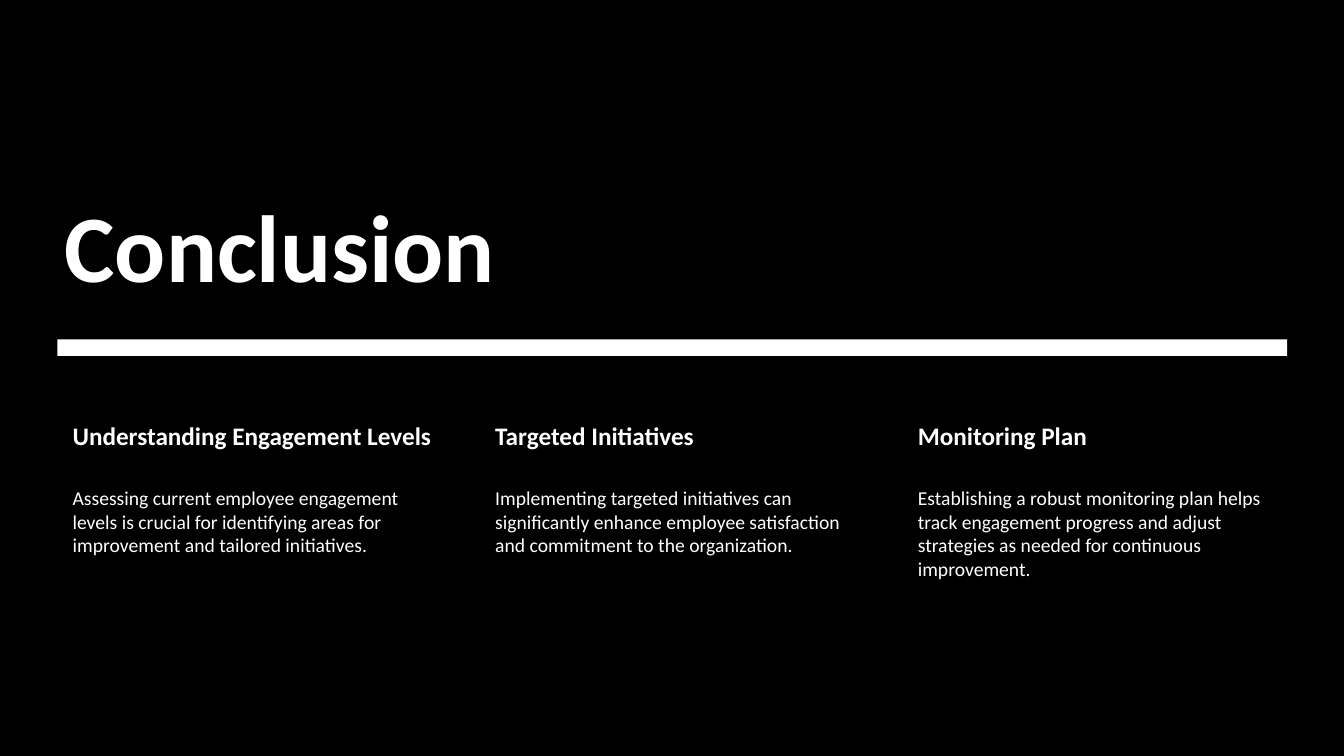
from pptx import Presentation
from pptx.dml.color import RGBColor
from pptx.enum.shapes import MSO_SHAPE as Shape
from pptx.enum.text import MSO_ANCHOR as Anchor
from pptx.util import Cm, Pt

COLORS = {"background": "000000", "foreground": "FFFFFF"}
LEFT, WIDTH = 1.45, 30.99
COLUMN_WIDTH, COLUMN_STEP = 9.68, 10.65
COLUMNS = [
    ("Understanding Engagement Levels",
     "Assessing current employee engagement levels is crucial for identifying areas "
     "for improvement and tailored initiatives."),
    ("Targeted Initiatives",
     "Implementing targeted initiatives can significantly enhance employee satisfaction "
     "and commitment to the organization."),
    ("Monitoring Plan",
     "Establishing a robust monitoring plan helps track engagement progress and adjust "
     "strategies as needed for continuous improvement."),
]

deck = Presentation()
deck.slide_width, deck.slide_height = Cm(33.87), Cm(19.05)
page = deck.slides.add_slide(deck.slide_layouts[6])
page.background.fill.solid()
page.background.fill.fore_color.rgb = RGBColor.from_string(COLORS["background"])


def add_bar(left, top, width, height, color):
    bar = page.shapes.add_shape(Shape.RECTANGLE, Cm(left), Cm(top), Cm(width), Cm(height))
    bar.shadow.inherit = False
    bar.fill.solid()
    bar.fill.fore_color.rgb = RGBColor.from_string(COLORS[color])
    bar.line.fill.background()


def add_text(text, left, top, width, height, size, bold, insets, anchor=Anchor.TOP):
    box = page.shapes.add_textbox(Cm(left), Cm(top), Cm(width), Cm(height))
    frame = box.text_frame
    frame.word_wrap = True
    frame.vertical_anchor = anchor
    frame.margin_left, frame.margin_top, frame.margin_right, frame.margin_bottom = map(Cm, insets)
    para = frame.paragraphs[0]
    para.text = text
    para.font.name = "Calibri"
    para.font.size = Pt(size)
    para.font.bold = bold
    para.font.color.rgb = RGBColor.from_string(COLORS["foreground"])


add_bar(0, 0, 33.87, 19.05, "background")
add_text("Conclusion", LEFT, 3.68, WIDTH, 3.91, 68, True, (0.18, 0, 0.18, 0), Anchor.BOTTOM)
add_bar(LEFT, 8.55, WIDTH, 0.42, "foreground")

for index, (heading, body) in enumerate(COLUMNS):
    left = LEFT + index * COLUMN_STEP
    add_text(heading, left, 10.52, COLUMN_WIDTH, 1.68, 18, True, (0.38, 0.08, 0.08, 0.08))
    add_text(body, left, 12.2, COLUMN_WIDTH, 5.18, 14, False, (0.38, 0.05, 0.05, 0.05))

deck.save("out.pptx")
